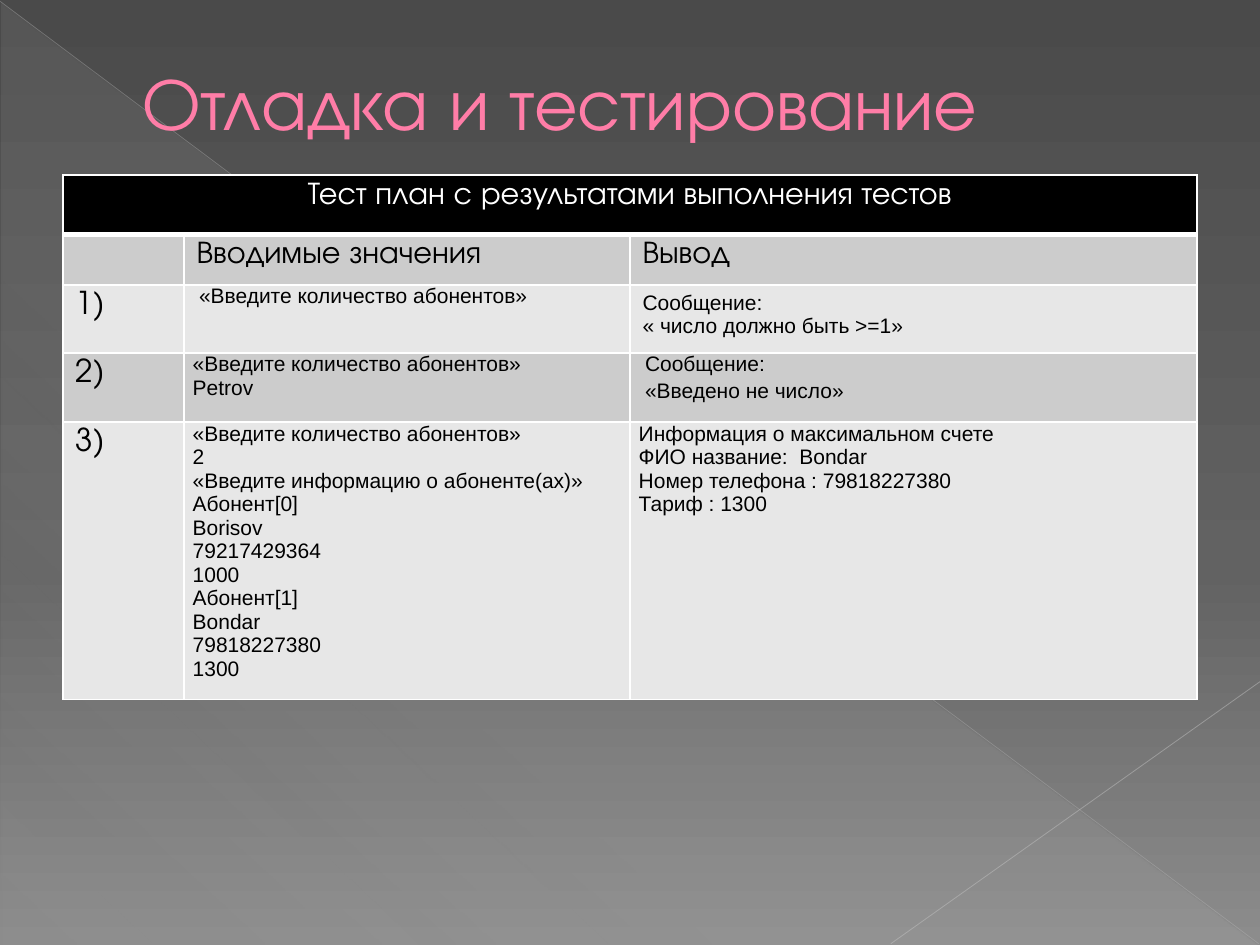
from lxml.etree import SubElement
from pptx import Presentation
from pptx.dml.color import RGBColor
from pptx.enum.shapes import MSO_CONNECTOR, MSO_SHAPE
from pptx.enum.text import MSO_ANCHOR, PP_ALIGN
from pptx.oxml.ns import qn
from pptx.util import Inches, Pt

COLORS = {
    "top": "4A4A4A", "middle": "626262", "bottom": "8C8C8C",
    "sheen": "D2D2D2", "long_line": "BFBFBF", "short_line": "C6C6C6",
    "title": "FF7DA7", "title_edge": "B12761",
    "white": "FFFFFF", "black": "000000",
    "dark_band": "CCCCCC", "light_band": "E7E7E7",
}
DISPLAY, BODY = "TeX Gyre Adventor", "Arial"
COLUMNS = [0.96, 3.54, 4.5]
ROWS = [0.47, 0.39, 0.54, 0.55, 1.07]

HEADING = "Тест план с результатами выполнения тестов"
COLUMN_HEADS = ["", "Вводимые значения", "Вывод"]
# Each test: input lines, input insets, output lines, output insets
WIDE, NARROW, NORMAL = (0.12, 0), (0.07, 0), (0.1, 0.05)
TESTS = [
    (["«Введите количество абонентов»"], WIDE,
     ["Сообщение:", "« число должно быть >=1»"], NORMAL),
    (["«Введите количество абонентов»", "Petrov"], NARROW,
     ["Сообщение:", "«Введено не число»"], WIDE),
    (["«Введите количество абонентов»", "2",
      "«Введите информацию о абоненте(ах)»",
      "Абонент[0]", "Borisov", "79217429364", "1000",
      "Абонент[1]", "Bondar", "79818227380", "1300"], NARROW,
     ["Информация о максимальном счете", "ФИО название:  Bondar",
      "Номер телефона : 79818227380", "Тариф : 1300"], NARROW),
]


def rgb(name):
    return RGBColor.from_string(COLORS[name])


def add_color(parent, name, opacity=100):
    color = SubElement(parent, qn("a:srgbClr"), val=COLORS[name])
    if opacity < 100:
        SubElement(color, qn("a:alpha"), val=str(opacity * 1000))


def set_gradient(fill, owner, stops, angle):
    fill.gradient()
    gradient = owner.find(".//" + qn("a:gradFill"))
    stop_list = gradient.find(qn("a:gsLst"))
    for old in list(stop_list):
        stop_list.remove(old)
    for position, name, opacity in stops:
        stop = SubElement(stop_list, qn("a:gs"), pos=str(position * 1000))
        add_color(stop, name, opacity)
    gradient.find(qn("a:lin")).set("ang", str(angle * 60000))


def add_line(page, start, end, color, width, opacity):
    line = page.shapes.add_connector(
        MSO_CONNECTOR.STRAIGHT, *(Inches(v) for v in (*start, *end)))
    line.line.width = Pt(width)
    line.line.color.rgb = rgb(color)
    tint = line.element.find(".//" + qn("a:ln")).find(".//" + qn("a:srgbClr"))
    SubElement(tint, qn("a:alpha"), val=str(opacity * 1000))
    SubElement(line.element.spPr, qn("a:effectLst"))


def write_text(frame, lines, size=18, font=DISPLAY, color="black", align=None):
    for index, text in enumerate(lines):
        para = frame.paragraphs[0] if index == 0 else frame.add_paragraph()
        para.alignment = align
        span = para.add_run()
        span.text = text
        span.font.size = Pt(size)
        span.font.name = font
        span.font.color.rgb = rgb(color)


def set_borders(cell, top=1, bottom=1):
    properties = cell._tc.get_or_add_tcPr()
    for side, width in (("L", 1), ("R", 1), ("T", top), ("B", bottom)):
        edge = SubElement(properties, qn("a:ln" + side), w=str(Pt(width)))
        add_color(SubElement(edge, qn("a:solidFill")), "white")


def fill_cell(cell, lines, insets=NORMAL, **text_format):
    cell.margin_left = cell.margin_right = Inches(insets[0])
    cell.margin_top = cell.margin_bottom = Inches(insets[1])
    write_text(cell.text_frame, lines, **text_format)


def add_backdrop(page):
    set_gradient(page.background.fill, page.element,
                 [(0, "top", 100), (60, "middle", 100), (100, "bottom", 100)], 90)
    triangle = page.shapes.add_shape(
        MSO_SHAPE.RIGHT_TRIANGLE, Inches(0.01), Inches(0.02), Inches(9.98), Inches(7.48))
    triangle.shadow.inherit = False
    triangle.line.fill.background()
    set_gradient(triangle.fill, triangle.element,
                 [(0, "sheen", 10), (70, "sheen", 8), (100, "sheen", 1)], 133)
    add_line(page, (0, 0.01), (9.99, 7.49), "long_line", 0.39, 35)
    add_line(page, (10, 5.41), (7.07, 7.49), "short_line", 0.47, 45)


def add_title(page):
    box = page.shapes.add_textbox(Inches(0.5), Inches(0.29), Inches(9), Inches(1.02))
    frame = box.text_frame
    frame.word_wrap = True
    frame.vertical_anchor = MSO_ANCHOR.MIDDLE
    write_text(frame, ["Отладка и тестирование"], size=42, color="title")
    para = frame.paragraphs[0]
    para._p.get_or_add_pPr().set("marL", str(Inches(0.53)))
    # Thin outline around the letters
    properties = para.runs[0].font._element
    edge = SubElement(properties, qn("a:ln"), w=str(Pt(0.5)))
    add_color(SubElement(edge, qn("a:solidFill")), "title_edge")
    properties.insert(0, edge)


def add_test_table(page):
    holder = page.shapes.add_table(
        len(ROWS), len(COLUMNS), Inches(0.5), Inches(1.39), Inches(9), Inches(4.17))
    table = holder.table
    for column, width in zip(table.columns, COLUMNS):
        column.width = Inches(width)
    for row, height in zip(table.rows, ROWS):
        row.height = Inches(height)
    holder.height = Inches(4.17)

    # Borders and alternating bands
    for index, row in enumerate(table.rows):
        band = "black" if index == 0 else "dark_band" if index % 2 else "light_band"
        for cell in row.cells:
            set_borders(cell, top=3 if index == 1 else 1, bottom=3 if index == 0 else 1)
            cell.fill.solid()
            cell.fill.fore_color.rgb = rgb(band)

    # Headings
    table.cell(0, 0).merge(table.cell(0, 2))
    fill_cell(table.cell(0, 0), [HEADING], color="white", align=PP_ALIGN.CENTER)
    for column, head in enumerate(COLUMN_HEADS):
        if head:
            fill_cell(table.cell(1, column), [head])

    # Tests
    for number, (entered, entered_insets, shown, shown_insets) in enumerate(TESTS, 1):
        row = number + 1
        fill_cell(table.cell(row, 0), [f"{number})"])
        fill_cell(table.cell(row, 1), entered, entered_insets, size=12, font=BODY)
        fill_cell(table.cell(row, 2), shown, shown_insets, size=12, font=BODY)
    message = table.cell(3, 2).text_frame.paragraphs[1]
    message.line_spacing = 1.15
    message.space_after = Pt(10)


def main():
    deck = Presentation()
    deck.slide_width, deck.slide_height = Inches(10), Inches(7.5)
    page = deck.slides.add_slide(deck.slide_layouts[6])
    add_backdrop(page)
    add_title(page)
    add_test_table(page)
    deck.save("out.pptx")


main()
